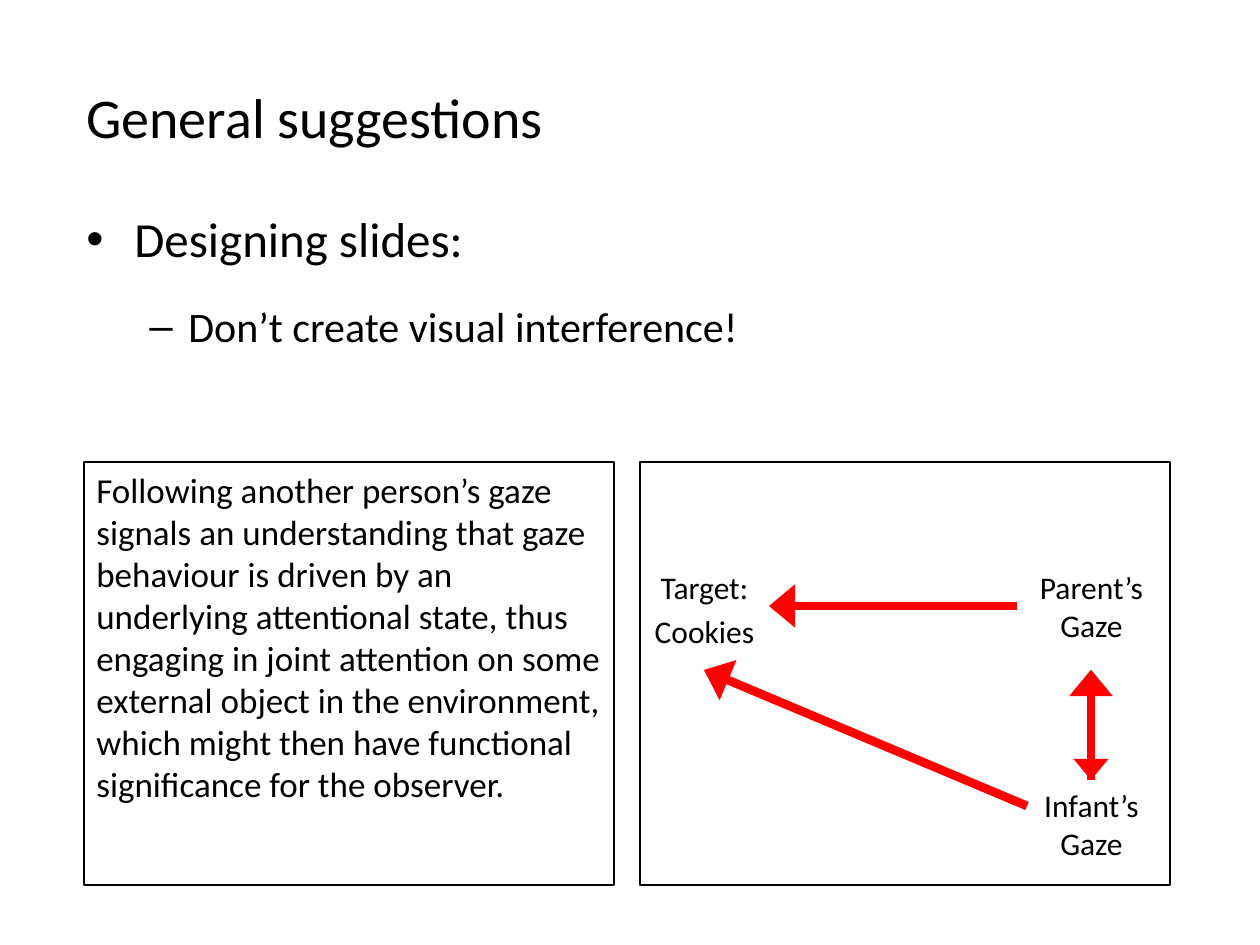
from pptx import Presentation
from pptx.dml.color import RGBColor
from pptx.enum.shapes import MSO_CONNECTOR as Link, MSO_SHAPE as Form
from pptx.enum.text import MSO_ANCHOR as Anchor, PP_ALIGN as Align
from pptx.oxml.ns import qn
from pptx.util import Emu, Pt
from lxml.etree import SubElement

BLACK, RED = "000000", "FF0000"


def px(n):
    return Emu(round(n * 914400 / 126))


def color(code):
    return RGBColor.from_string(code)


def put(obj, vals):
    """Set each attribute of obj from a dict."""
    for name, val in vals.items():
        setattr(obj, name, val)


class Deck:
    font = "Calibri"

    def __init__(self, wide, high):
        self.prs = Presentation()
        put(self.prs, {"slide_width": px(wide), "slide_height": px(high)})
        self.slide = self.prs.slides.add_slide(self.prs.slide_layouts[6])

    def fill(self, frame, rows, align=Align.LEFT):
        """Fill a frame with rows of (text, size, space before, bullet, left, hang)."""
        put(frame, {"word_wrap": True, "vertical_anchor": Anchor.TOP})
        for i, (text, size, gap, mark, left, hang) in enumerate(rows):
            par = frame.add_paragraph() if i else frame.paragraphs[0]
            put(par, {"alignment": align, "space_before": Pt(gap)})
            run = par.add_run()
            run.text = text
            put(run.font, {"name": self.font, "size": Pt(size)})
            run.font.color.rgb = color(BLACK)
            prop = par._p.get_or_add_pPr()
            prop.set("marL", str(px(left)))
            prop.set("indent", str(px(-hang)))
            if mark:
                par.level = 1 if mark == "–" else 0
                SubElement(prop, qn("a:buFont"), typeface="Arial")
                SubElement(prop, qn("a:buChar"), char=mark)

    def text(self, x, y, w, h, rows, align=Align.LEFT):
        box = self.slide.shapes.add_textbox(px(x), px(y), px(w), px(h))
        self.fill(box.text_frame, rows, align)

    def label(self, x, y, w, h, *lines):
        rows = [(line, 18, 3.6 * (i > 0), None, 0, 0)
                for i, line in enumerate(lines)]
        self.text(x, y, w, h, rows, Align.CENTER)

    def panel(self, x, y, w, h, rows=()):
        box = self.slide.shapes.add_shape(Form.RECTANGLE, px(x), px(y), px(w), px(h))
        box.shadow.inherit = False
        box.fill.background()
        box.line.color.rgb = color(BLACK)
        box.line.width = Pt(0.75)
        self.fill(box.text_frame, rows)

    def arrow(self, x1, y1, x2, y2, width=5, both=False):
        link = self.slide.shapes.add_connector(
            Link.STRAIGHT, px(x1), px(y1), px(x2), px(y2))
        link.line.color.rgb = color(RED)
        link.line.width = Pt(width)
        line = link.line._get_or_add_ln()
        for end in ("a:headEnd", "a:tailEnd")[not both:]:
            SubElement(line, qn(end), type="triangle", w="lg", len="med")
        SubElement(link._element.spPr, qn("a:effectLst"))


def main():
    deck = Deck(1260, 945)
    deck.text(74, 76, 1062, 753, [
        ("General suggestions", 32, 0, None, 48, 48),
        ("Designing slides:", 28, 34, "•", 48, 48),
        ("Don’t create visual interference!", 24, 19, "–", 102, 39),
    ])

    top, wide, high = 462, 530, 423
    deck.panel(84, top, wide, high, [(
        "Following another person’s gaze signals an understanding that gaze "
        "behaviour is driven by an underlying attentional state, thus "
        "engaging in joint attention on some external object in the "
        "environment, which might then have functional significance for "
        "the observer.", 20, 0, None, 0, 0)])
    deck.panel(640, top, wide, high)

    deck.label(620, 562, 169, 110, "Target:", "Cookies")
    deck.arrow(1017, 606, 769, 606)
    deck.arrow(1027, 806, 704, 670)
    for y, name in ((562, "Parent’s Gaze"), (780, "Infant’s Gaze")):
        deck.label(1017, y, 149, 110, name)
    for width, both in ((4, True), (5, False)):
        deck.arrow(1091, 780, 1091, 670, width, both)

    deck.prs.save("out.pptx")


if __name__ == "__main__":
    main()
